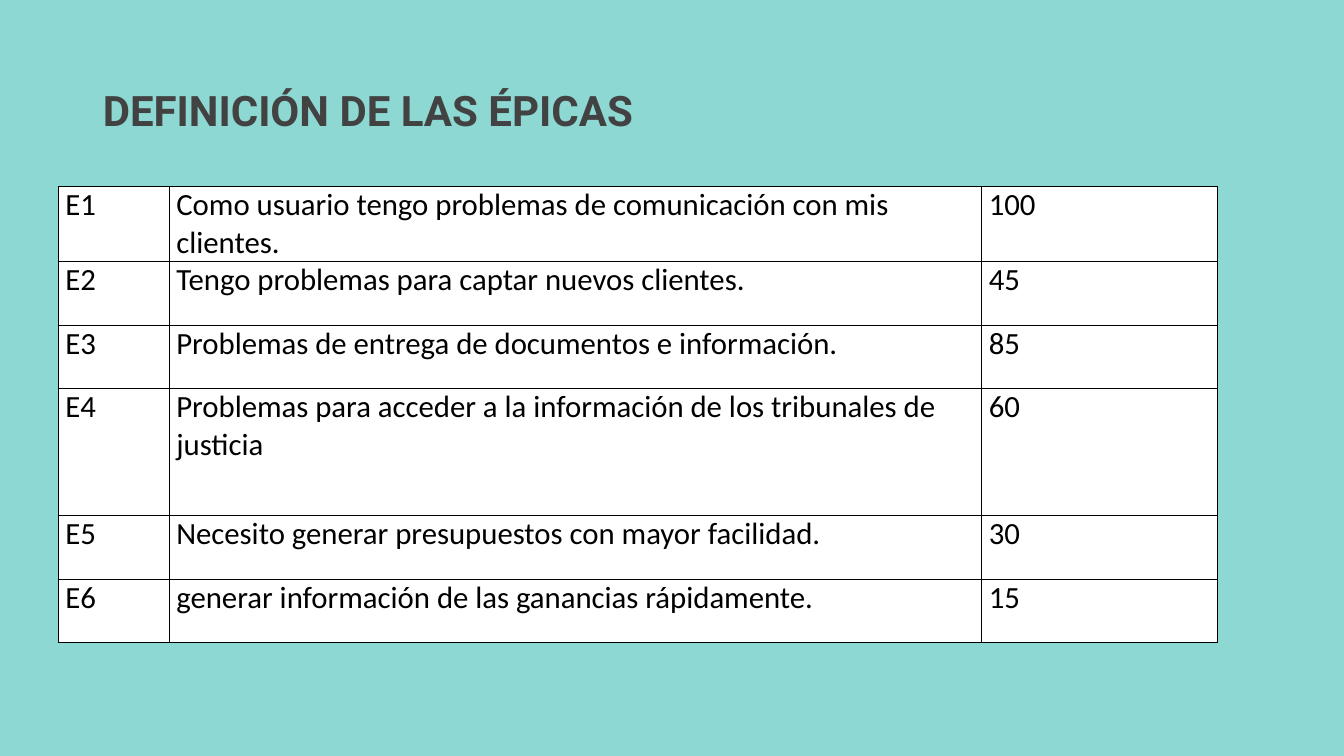
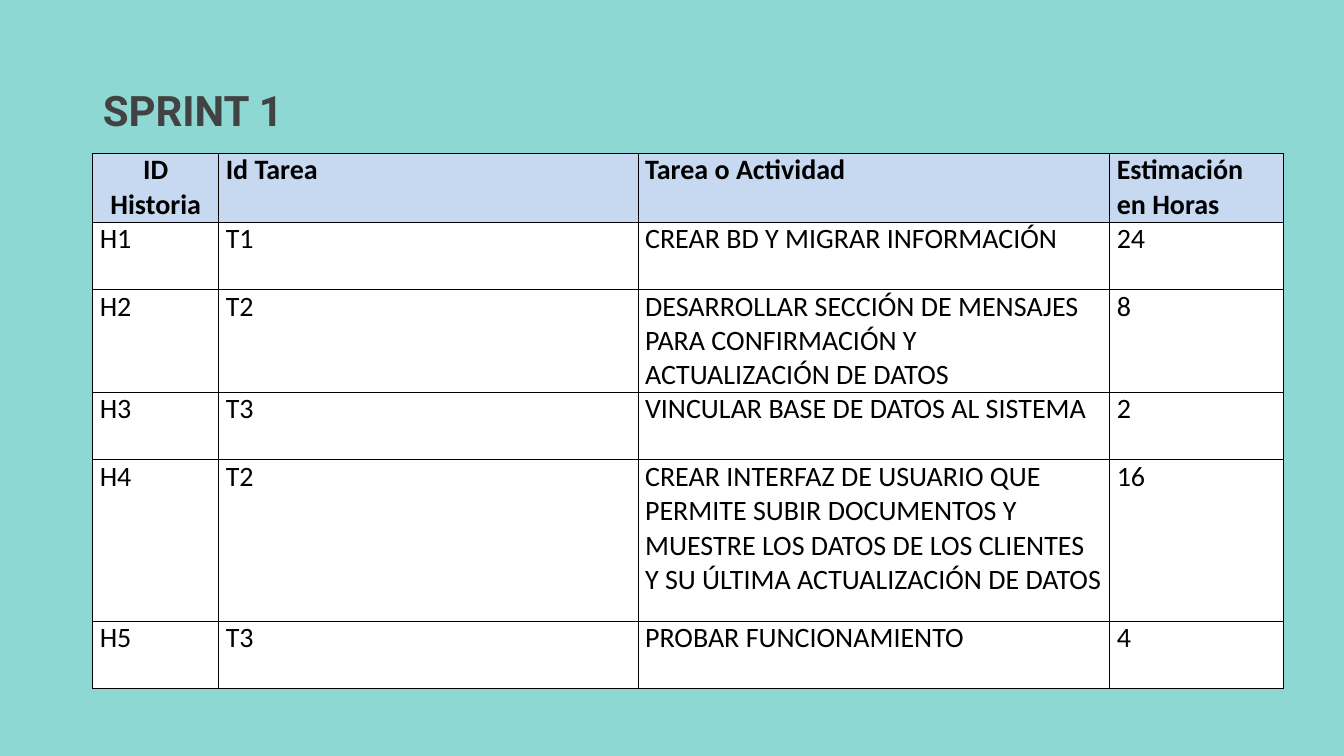
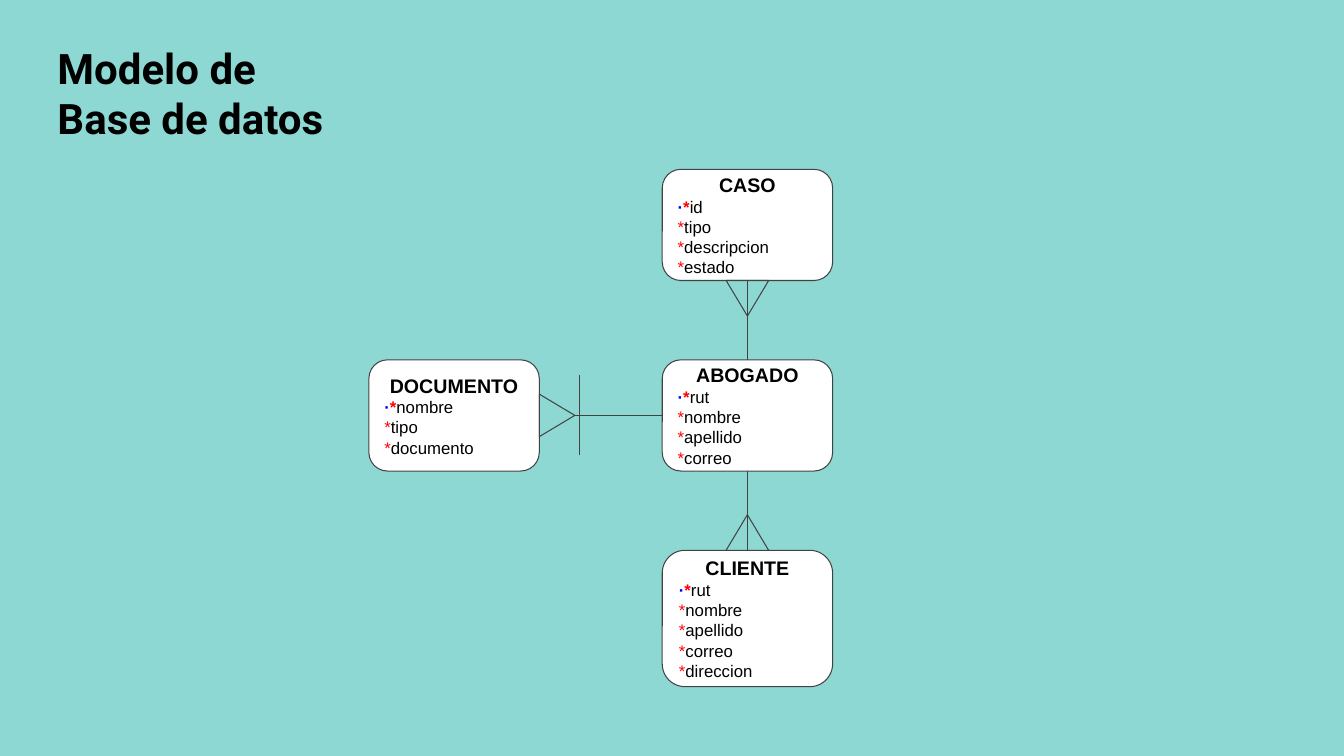
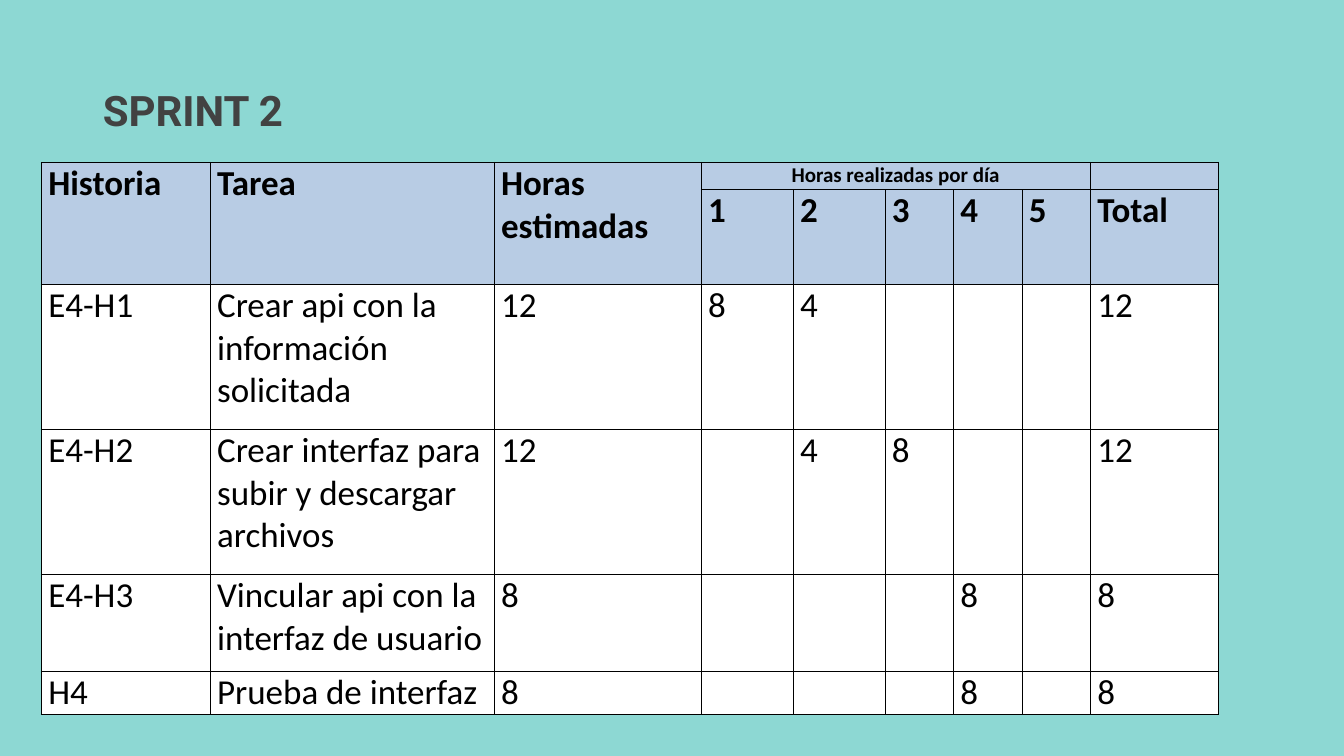
"""Build the four sprint-planning slides."""
from dataclasses import dataclass
from typing import NamedTuple

from lxml.etree import SubElement
from pptx import Presentation
from pptx.dml.color import RGBColor as RGB
from pptx.enum.shapes import MSO_CONNECTOR as CONN, MSO_SHAPE as SHAPE
from pptx.enum.text import MSO_ANCHOR as ANCHOR, MSO_AUTO_SIZE as AUTO, PP_ALIGN as ALIGN
from pptx.oxml.ns import qn
from pptx.util import Pt


@dataclass(frozen=True)
class Theme:
    """Colours, fonts and type sizes of the deck."""
    back: str = "8DD8D3"
    ink: str = "000000"
    grey: str = "424242"
    paper: str = "FFFFFF"
    key: str = "0000FF"
    required: str = "FF0000"
    title_font: str = "Roboto"
    table_font: str = "Calibri"
    entity_font: str = "Arial"
    title: float = 30
    entity: float = 14
    attribute: float = 12
    table_line: float = 0.5
    diagram_line: float = 0.75


class Box(NamedTuple):
    """Left, top, width and height in points."""
    left: float
    top: float
    width: float
    height: float


@dataclass(frozen=True)
class TitleStyle:
    """Place and paragraph look of a title."""
    box: Box
    colour: str
    anchor: ANCHOR
    spacing: float
    inset: float


@dataclass(frozen=True)
class Grid:
    """A bordered table; cells listed in small use small_size."""
    left: float
    top: float
    size: float
    cols: tuple[float, ...]
    heights: tuple[float, ...]
    cells: tuple[tuple[str, ...], ...]
    header_rows: int = 0
    header_fill: str = ""
    centred: tuple[tuple[int, int], ...] = ()
    small: tuple[tuple[int, int], ...] = ()
    small_size: float = 15
    merges: tuple[tuple[int, int, int, int], ...] = ()


class Entity(NamedTuple):
    """A database entity; its first attribute is the key."""
    name: str
    box: Box
    attributes: tuple[str, ...]


class Foot(NamedTuple):
    """A crow's foot given by its centre and rotation."""
    x: float
    y: float
    rotation: float


class Line(NamedTuple):
    """A straight line between two points."""
    x1: float
    y1: float
    x2: float
    y2: float


T = Theme()
HEADING = TitleStyle(Box(66.24, 28.8, 828, 104.4), T.grey, ANCHOR.MIDDLE, 0.9, 3.6)
CORNER = TitleStyle(Box(33.84, 23.04, 402.48, 97.2), T.ink, ANCHOR.TOP, 1, 7.2)

EPICS = Grid(
    41.76, 133.2, 22, (79.2, 580.32, 168.48),
    (45.36, 45.36, 45.36, 90.72, 45.36, 45.36),
    (
        ("E1", "Como usuario tengo problemas de comunicación con mis clientes.", "100"),
        ("E2", "Tengo problemas para captar nuevos clientes.", "45"),
        ("E3", "Problemas de entrega de documentos e información.", "85"),
        ("E4", "Problemas para acceder a la información de los tribunales de justicia", "60"),
        ("E5", "Necesito generar presupuestos con mayor facilidad.", "30"),
        ("E6", "generar información de las ganancias rápidamente.", "15"),
    ),
)
SPRINT_1 = Grid(
    66.24, 109.44, 20, (90, 299.52, 336.96, 123.84),
    (48.24, 48.24, 72.72, 48.24, 115.2, 48.24),
    (
        ("ID Historia", "Id Tarea", "Tarea o Actividad", "Estimación en Horas"),
        ("H1", "T1", "CREAR BD Y MIGRAR INFORMACIÓN", "24"),
        ("H2", "T2", "DESARROLLAR SECCIÓN DE MENSAJES PARA CONFIRMACIÓN Y "
                     "ACTUALIZACIÓN DE DATOS", "8"),
        ("H3", "T3", "VINCULAR BASE DE DATOS AL SISTEMA", "2"),
        ("H4", "T2", "CREAR INTERFAZ DE USUARIO QUE PERMITE SUBIR DOCUMENTOS Y MUESTRE "
                     "LOS DATOS DE LOS CLIENTES Y SU ÚLTIMA ACTUALIZACIÓN DE DATOS", "16"),
        ("H5", "T3", "PROBAR FUNCIONAMIENTO", "4"),
    ),
    header_rows=1, header_fill="C6D9F1", centred=((0, 0),),
)
SPRINT_2 = Grid(
    29.52, 115.92, 25,
    (120.6, 202.9, 147.8, 65.7, 65.7, 48.9, 48.9, 48.9, 91.6),
    (19.44, 67.68, 103.68, 103.68, 69.12, 10.8),
    (
        ("Historia", "Tarea", "Horas estimadas", "Horas realizadas por día",
         "", "", "", "", ""),
        ("", "", "", "1", "2", "3", "4", "5", "Total"),
        ("E4-H1", "Crear api con la información solicitada", "12",
         "8", "4", "", "", "", "12"),
        ("E4-H2", "Crear interfaz para subir y descargar archivos", "12",
         "", "4", "8", "", "", "12"),
        ("E4-H3", "Vincular api con la interfaz de usuario", "8",
         "", "", "", "8", "", "8"),
        ("H4", "Prueba de interfaz", "8", "", "", "", "8", "", "8"),
    ),
    header_rows=2, header_fill="B8CCE4", centred=((0, 3),),
    small=tuple((0, c) for c in range(3, 9)),
    merges=((0, 0, 1, 0), (0, 1, 1, 1), (0, 2, 1, 2), (0, 3, 0, 7)),
)

WIDTH, HEIGHT, PITCH = 121.68, 79.4, 136.08
DOC_X, MAIN_X, CASE_Y = 263.52, 473.04, 120.96
LAWYER_Y, CLIENT_Y = CASE_Y + PITCH, CASE_Y + 2 * PITCH
DOC_RIGHT, AXIS_X = DOC_X + WIDTH, MAIN_X + WIDTH / 2
CASE_BOTTOM, LAWYER_BOTTOM = CASE_Y + HEIGHT, LAWYER_Y + HEIGHT
AXIS_Y = LAWYER_Y + HEIGHT / 2
FOOT_W, FOOT_H, BAR_X, BAR_HALF = 30.4, 25.4, 414, 28.6

ENTITIES = (
    Entity("DOCUMENTO", Box(DOC_X, LAWYER_Y, WIDTH, HEIGHT),
           ("nombre", "tipo", "documento")),
    Entity("ABOGADO", Box(MAIN_X, LAWYER_Y, WIDTH, HEIGHT),
           ("rut", "nombre", "apellido", "correo")),
    Entity("CASO", Box(MAIN_X, CASE_Y, WIDTH, HEIGHT),
           ("id", "tipo", "descripcion", "estado")),
    Entity("CLIENTE", Box(MAIN_X, CLIENT_Y, WIDTH, 97.4),
           ("rut", "nombre", "apellido", "correo", "direccion")),
)
FEET = (
    Foot(AXIS_X, CASE_BOTTOM + FOOT_H / 2, 180),
    Foot(AXIS_X, CLIENT_Y - FOOT_H / 2, 0),
    Foot(DOC_RIGHT + FOOT_H / 2, AXIS_Y, 90),
)
LINES = (
    Line(MAIN_X, AXIS_Y, DOC_RIGHT + FOOT_H, AXIS_Y),
    Line(BAR_X, AXIS_Y - BAR_HALF, BAR_X, AXIS_Y + BAR_HALF),
    Line(AXIS_X, LAWYER_Y, AXIS_X, CASE_BOTTOM),
    Line(AXIS_X, LAWYER_BOTTOM, AXIS_X, CLIENT_Y),
)


def rgb(value: str) -> RGB:
    """Turn a hex string into a colour."""
    return RGB.from_string(value)


def add_run(p, text: str, font: str, size: float, colour: str, bold: bool = False) -> None:
    """Add one formatted run to a paragraph."""
    r = p.add_run()
    r.text = text
    r.font.name = font
    r.font.size = Pt(size)
    r.font.bold = bold
    r.font.color.rgb = rgb(colour)


def set_insets(tf, inset: float) -> None:
    """Give a text frame the same inset on all sides."""
    tf.margin_left = tf.margin_right = tf.margin_top = tf.margin_bottom = Pt(inset)


def add_slide(prs, lines: tuple[str, ...], style: TitleStyle):
    """Add a titled slide and format its title placeholder."""
    s = prs.slides.add_slide(prs.slide_layouts[5])
    sp = s.shapes.title
    sp.left, sp.top, sp.width, sp.height = map(Pt, style.box)
    tf = sp.text_frame
    tf.auto_size = AUTO.NONE
    tf.word_wrap = True
    tf.vertical_anchor = style.anchor
    set_insets(tf, style.inset)
    tf.margin_left = tf.margin_right = Pt(7.2)
    for i, line in enumerate(lines):
        p = tf.add_paragraph() if i else tf.paragraphs[0]
        p.alignment = ALIGN.LEFT
        p.line_spacing = style.spacing
        p.space_before = Pt(0)
        add_run(p, line, T.title_font, T.title, style.colour, True)
    return s


def add_borders(cell) -> None:
    """Draw thin lines on the four sides of a cell."""
    props = cell._tc.get_or_add_tcPr()
    for side in ("a:lnL", "a:lnR", "a:lnT", "a:lnB"):
        ln = SubElement(props, qn(side), w=str(Pt(T.table_line)))
        SubElement(SubElement(ln, qn("a:solidFill")), qn("a:srgbClr"), val=T.ink)


def add_grid(s, grid: Grid) -> None:
    """Draw a table with its merges, borders and fills."""
    frame = s.shapes.add_table(len(grid.heights), len(grid.cols), Pt(grid.left), Pt(grid.top),
                               Pt(sum(grid.cols)), Pt(sum(grid.heights)))
    table = frame.table
    table.first_row = table.horz_banding = False
    for col, width in zip(table.columns, grid.cols):
        col.width = Pt(width)
    for row, height in zip(table.rows, grid.heights):
        row.height = Pt(height)
    for r1, c1, r2, c2 in grid.merges:
        table.cell(r1, c1).merge(table.cell(r2, c2))
    for i, texts in enumerate(grid.cells):
        header = i < grid.header_rows
        for j, text in enumerate(texts):
            cell = table.cell(i, j)
            add_borders(cell)
            cell.fill.solid()
            cell.fill.fore_color.rgb = rgb(grid.header_fill if header else T.paper)
            cell.margin_left = cell.margin_right = Pt(5.04)
            cell.margin_top = cell.margin_bottom = Pt(0)
            p = cell.text_frame.paragraphs[0]
            p.alignment = ALIGN.CENTER if (i, j) in grid.centred else ALIGN.LEFT
            size = grid.small_size if (i, j) in grid.small else grid.size
            if text:
                add_run(p, text, T.table_font, size, T.ink, header)
            else:
                SubElement(p._p, qn("a:endParaRPr"), sz=str(int(size * 100)))


def add_outlined(s, kind: SHAPE, box: Box, fill: str):
    """Add a filled preset shape with the diagram outline."""
    sp = s.shapes.add_shape(kind, *map(Pt, box))
    sp.shadow.inherit = False
    sp.fill.solid()
    sp.fill.fore_color.rgb = rgb(fill)
    sp.line.color.rgb = rgb(T.grey)
    sp.line.width = Pt(T.diagram_line)
    return sp


def add_entity(s, entity: Entity) -> None:
    """Draw an entity box with its name and attributes."""
    sp = add_outlined(s, SHAPE.ROUNDED_RECTANGLE, entity.box, T.paper)
    sp.adjustments[0] = 0.167
    tf = sp.text_frame
    tf.word_wrap = True
    tf.vertical_anchor = ANCHOR.MIDDLE
    set_insets(tf, 7.2)
    p = tf.paragraphs[0]
    p.alignment = ALIGN.CENTER
    add_run(p, entity.name, T.entity_font, T.entity, T.ink, True)
    for i, attribute in enumerate(entity.attributes):
        is_key = i == 0
        p = tf.add_paragraph()
        p.alignment = ALIGN.LEFT
        if is_key:
            add_run(p, "·", T.entity_font, T.attribute, T.key, True)
        add_run(p, "*", T.entity_font, T.attribute, T.required, is_key)
        add_run(p, attribute, T.entity_font, T.attribute, T.ink)


def add_foot(s, foot: Foot) -> None:
    """Draw a crow's foot around its centre."""
    box = Box(foot.x - FOOT_W / 2, foot.y - FOOT_H / 2, FOOT_W, FOOT_H)
    add_outlined(s, SHAPE.FLOWCHART_EXTRACT, box, T.back).rotation = foot.rotation


def add_line(s, line: Line) -> None:
    """Draw a plain relation line."""
    cx = s.shapes.add_connector(CONN.STRAIGHT, *map(Pt, line))
    cx.line.color.rgb = rgb(T.grey)
    cx.line.width = Pt(T.diagram_line)
    SubElement(cx._element.spPr, qn("a:effectLst"))


def add_model(prs) -> None:
    """Add the database model slide."""
    s = add_slide(prs, ("Modelo de", "Base de datos"), CORNER)
    for entity in ENTITIES:
        add_entity(s, entity)
    for foot in FEET:
        add_foot(s, foot)
    for line in LINES:
        add_line(s, line)


def main() -> None:
    """Build and save the deck."""
    prs = Presentation()
    prs.slide_width, prs.slide_height = Pt(960), Pt(540)
    back = prs.slide_master.background.fill
    back.solid()
    back.fore_color.rgb = rgb(T.back)
    add_grid(add_slide(prs, ("DEFINICIÓN DE LAS ÉPICAS",), HEADING), EPICS)
    add_grid(add_slide(prs, ("SPRINT 1",), HEADING), SPRINT_1)
    add_model(prs)
    add_grid(add_slide(prs, ("SPRINT 2",), HEADING), SPRINT_2)
    prs.save("out.pptx")


main()
